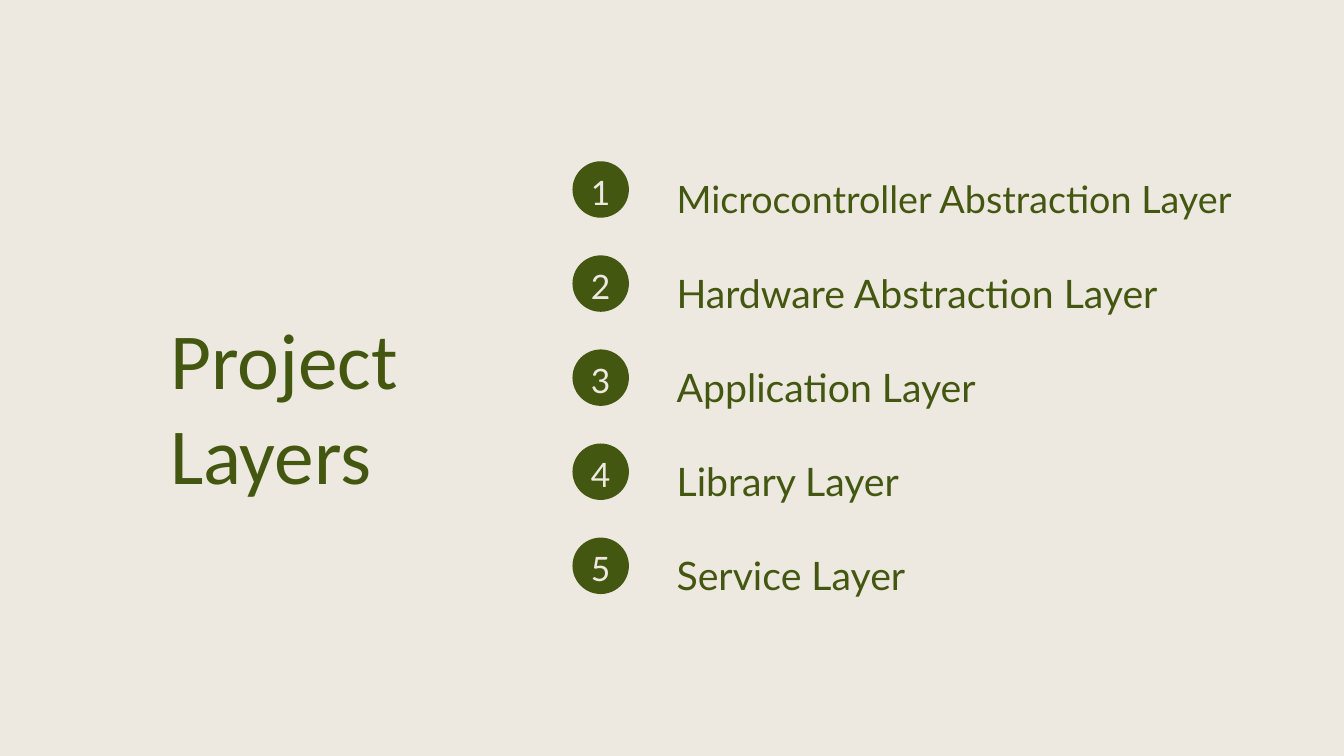
import pptx
import pptx.dml.color
import pptx.enum.shapes
import pptx.enum.text
import pptx.util

Pt = pptx.util.Pt
ALIGN = pptx.enum.text.PP_ALIGN

LAYERS = [
    ("Microcontroller Abstraction Layer", 40.4, 656),
    ("Hardware Abstraction Layer", 42, 576.7),
    ("Application Layer", 42, 576.7),
    ("Library Layer", 42, 576.7),
    ("Service Layer", 42, 576.7),
]
FIRST_TOP, ROW_PITCH = 172.8, 100.8
CIRCLE_LEFT, CIRCLE_SIZE = 613.4, 60.5
NUMBER_WIDTH, NUMBER_HEIGHT = 43.2, 53.3
LABEL_LEFT, LABEL_CENTER = 725, 19.4


def color(hex_string):
    return pptx.dml.color.RGBColor.from_string(hex_string)


def write_text(shape, text, *, size, spacing, font, fill, align=ALIGN.LEFT):
    frame = shape.text_frame
    frame.word_wrap = True
    frame.auto_size = pptx.enum.text.MSO_AUTO_SIZE.NONE
    frame.vertical_anchor = pptx.enum.text.MSO_ANCHOR.TOP
    frame.margin_left = frame.margin_right = 0
    frame.margin_top = frame.margin_bottom = 0
    paragraph = frame.paragraphs[0]
    paragraph.alignment = align
    paragraph.line_spacing = Pt(spacing)
    paragraph.space_before = Pt(0)
    run = paragraph.add_run()
    run.text = text
    run.font.size = Pt(size)
    run.font.name = font
    run.font.color.rgb = color(fill)


class SlideBuilder:
    """Holds the style and the slide being built."""

    green = "445710"
    cream = "EDE9E0"
    title_font = "Calibri"
    body_font = "Lato"

    def __init__(self, slide):
        self.slide = slide
        background = slide.background.fill
        background.solid()
        background.fore_color.rgb = color(self.cream)

    def title(self, text, left, top, width, height):
        shape = self.slide.shapes.title
        shape.left, shape.top = Pt(left), Pt(top)
        shape.width, shape.height = Pt(width), Pt(height)
        write_text(shape, text, size=85, spacing=102,
                   font=self.title_font, fill=self.green)

    def circle(self, left, top, size):
        shape = self.slide.shapes.add_shape(
            pptx.enum.shapes.MSO_SHAPE.OVAL,
            Pt(left), Pt(top), Pt(size), Pt(size))
        shape.shadow.inherit = False
        shape.fill.solid()
        shape.fill.fore_color.rgb = color(self.green)
        shape.line.fill.background()

    def text_box(self, text, left, top, width, height, **text_format):
        shape = self.slide.shapes.add_textbox(
            Pt(left), Pt(top), Pt(width), Pt(height))
        write_text(shape, text, font=self.body_font, **text_format)

    def layer(self, number, name, size, width, top):
        """Add one row: a numbered circle and the layer's name."""
        self.circle(CIRCLE_LEFT, top, CIRCLE_SIZE)
        self.text_box(str(number),
                      CIRCLE_LEFT + (CIRCLE_SIZE - NUMBER_WIDTH) / 2, top - 2,
                      NUMBER_WIDTH, NUMBER_HEIGHT, size=36, spacing=56.5,
                      fill=self.cream, align=ALIGN.CENTER)
        height = 1.8 * size
        self.text_box(name, LABEL_LEFT, top + LABEL_CENTER - height / 2,
                      width, height, size=size, spacing=2 * size,
                      fill=self.green)


def main():
    presentation = pptx.Presentation()
    presentation.slide_width = Pt(1440)
    presentation.slide_height = Pt(810)
    title_only = presentation.slide_layouts[5]
    builder = SlideBuilder(presentation.slides.add_slide(title_only))
    builder.title("Project Layers", 182.2, 332, 335.5, 204)
    for index, (name, size, width) in enumerate(LAYERS):
        builder.layer(index + 1, name, size, width,
                      FIRST_TOP + index * ROW_PITCH)
    presentation.save("out.pptx")


if __name__ == "__main__":
    main()
